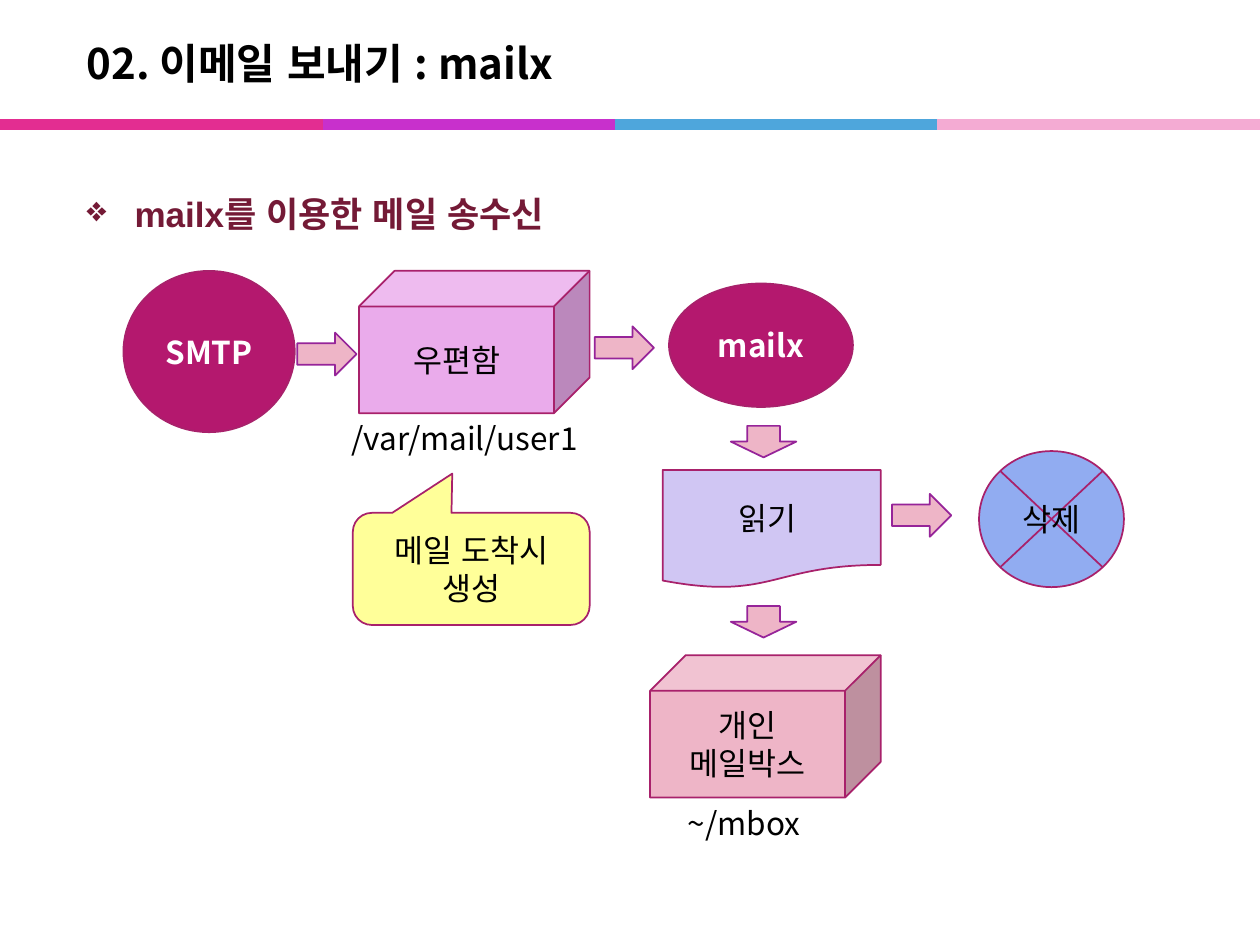
from lxml import etree
from pptx import Presentation
from pptx.dml.color import RGBColor
from pptx.enum.lang import MSO_LANGUAGE_ID
from pptx.enum.shapes import MSO_CONNECTOR, MSO_SHAPE
from pptx.enum.text import MSO_ANCHOR, PP_ALIGN
from pptx.oxml.ns import qn
from pptx.util import Inches, Pt

STRAIGHT = MSO_CONNECTOR.STRAIGHT
OVAL = MSO_SHAPE.OVAL
CUBE = MSO_SHAPE.CUBE
DOCUMENT = MSO_SHAPE.FLOWCHART_DOCUMENT
JUNCTION = MSO_SHAPE.FLOWCHART_SUMMING_JUNCTION
CALLOUT = MSO_SHAPE.ROUNDED_RECTANGULAR_CALLOUT
RIGHT = MSO_SHAPE.RIGHT_ARROW
DOWN = MSO_SHAPE.DOWN_ARROW
MIDDLE, TOP = MSO_ANCHOR.MIDDLE, MSO_ANCHOR.TOP
CENTER, LEFT = PP_ALIGN.CENTER, PP_ALIGN.LEFT
KOREAN = MSO_LANGUAGE_ID.KOREAN

FONT = "Noto Sans CJK KR"
BLACK, WHITE, MAROON = "000000", "FFFFFF", "741A36"
MAGENTA, ROSE, OUTLINE, PURPLE = "B4186E", "EEB5C7", "A8216B", "962499"


def rgb(value):
    """Return the colour for a hex string."""
    return RGBColor.from_string(value)


def write(shape, text, size=18, color=BLACK, bold=False, font=FONT,
          align=LEFT, anchor=TOP, wrap=True):
    """Write one paragraph for each line of text into a shape."""
    tf = shape.text_frame
    tf.word_wrap, tf.vertical_anchor = wrap, anchor
    style = {"size": Pt(size), "bold": bold, "name": font, "language_id": KOREAN}
    for i, line in enumerate(text.split("\n")):
        p = tf.add_paragraph() if i else tf.paragraphs[0]
        p.alignment = align
        r = p.add_run()
        r.text = line
        for key, value in style.items():
            setattr(r.font, key, value)
        r.font.color.rgb = rgb(color)
        latin = r.font._element.find(qn("a:latin"))
        east = etree.Element(qn("a:ea"), typeface=FONT)
        latin.addnext(east)


def add_text(s, box, text, **style):
    """Add a text box."""
    sp = s.shapes.add_textbox(*map(Inches, box))
    write(sp, text, **style)
    return sp


def add_node(s, kind, box, fill, text="", line=OUTLINE, **style):
    """Add a filled, outlined shape with centred text."""
    sp = s.shapes.add_shape(kind, *map(Inches, box))
    sp.shadow.inherit = False
    sp.fill.solid()
    sp.fill.fore_color.rgb = rgb(fill)
    sp.line.color.rgb = rgb(line)
    sp.line.width = Pt(1)
    if text:
        write(sp, text, align=CENTER, anchor=MIDDLE, **style)
    return sp


def add_rule(s, start, color, y=0.99, length=2.56):
    """Add one coloured part of the rule under the title."""
    line = s.shapes.add_connector(
        STRAIGHT, *map(Inches, (start, y, start + length, y)))
    line.line.color.rgb = rgb(color)
    line.line.width = Pt(6)
    etree.SubElement(line._element.spPr, qn("a:effectLst"))


def add_bullet(p, char, color, indent):
    """Give a paragraph a coloured bullet and a hanging indent."""
    pPr = p._p.get_or_add_pPr()
    pPr.set("marL", str(Inches(indent)))
    pPr.set("indent", str(-Inches(indent)))
    tint = etree.SubElement(pPr, qn("a:buClr"))
    etree.SubElement(tint, qn("a:srgbClr"), val=color)
    etree.SubElement(pPr, qn("a:buChar"), char=char)


def add_heading(s):
    """Add the title, its rule and the bulleted topic."""
    for start, color in ((2.32, "C830CC"), (4.88, "4EA6DC"),
                         (7.44, "F4ABD3"), (0, "E32D91")):
        add_rule(s, start, color)
    add_text(s, (0.59, 0.2, 8.27, 0.6), "02. 이메일 보내기 : mailx",
             size=24, bold=True, anchor=MIDDLE)
    topic = add_text(s, (0.59, 1.31, 9.06, 5.91), "mailx를 이용한 메일 송수신",
                     size=20, color=MAROON, bold=True, font="Arial")
    p = topic.text_frame.paragraphs[0]
    p.line_spacing = 1.5
    add_bullet(p, "❖", MAROON, 0.38)


def add_flow(s):
    """Add the mail flow with its labels, arrows and callout."""
    programs = {"color": WHITE, "bold": True}
    add_node(s, OVAL, (0.98, 2.15, 1.36, 1.28), MAGENTA, "SMTP", **programs)
    add_node(s, CUBE, (2.85, 2.15, 1.83, 1.13), "EAABEB", "우편함")
    add_node(s, OVAL, (5.31, 2.25, 1.46, 0.98), MAGENTA, "mailx", **programs)
    add_node(s, DOCUMENT, (5.26, 3.73, 1.73, 0.94), "D0C6F3", "읽기 ")
    add_node(s, CUBE, (5.16, 5.2, 1.83, 1.13), ROSE, "개인\n메일박스")
    add_text(s, (2.69, 3.28, 2.06, 0.4), "/var/mail/user1", wrap=False)
    add_text(s, (5.36, 6.33, 1.19, 0.4), "~/mbox", wrap=False)
    add_node(s, JUNCTION, (7.77, 3.58, 1.15, 1.08), "91ACF1", "삭제")
    for left, top in ((2.36, 2.64), (4.72, 2.59), (7.08, 3.92)):
        add_node(s, RIGHT, (left, top, 0.47, 0.34), ROSE, line=PURPLE)
    for top in (3.38, 4.81):
        add_node(s, DOWN, (5.8, top, 0.52, 0.25), ROSE, line=PURPLE)
    note = add_node(s, CALLOUT, (2.8, 4.07, 1.88, 0.89), "FFFF99",
                    "메일 도착시 생성")
    for i, value in enumerate((-0.08, -0.85, 0.17)):
        note.adjustments[i] = value


def main():
    """Build and save the slide."""
    prs = Presentation()
    prs.slide_width, prs.slide_height = Inches(10), Inches(7.5)
    s = prs.slides.add_slide(prs.slide_layouts[6])
    add_heading(s)
    add_flow(s)
    prs.save("out.pptx")


if __name__ == "__main__":
    main()
